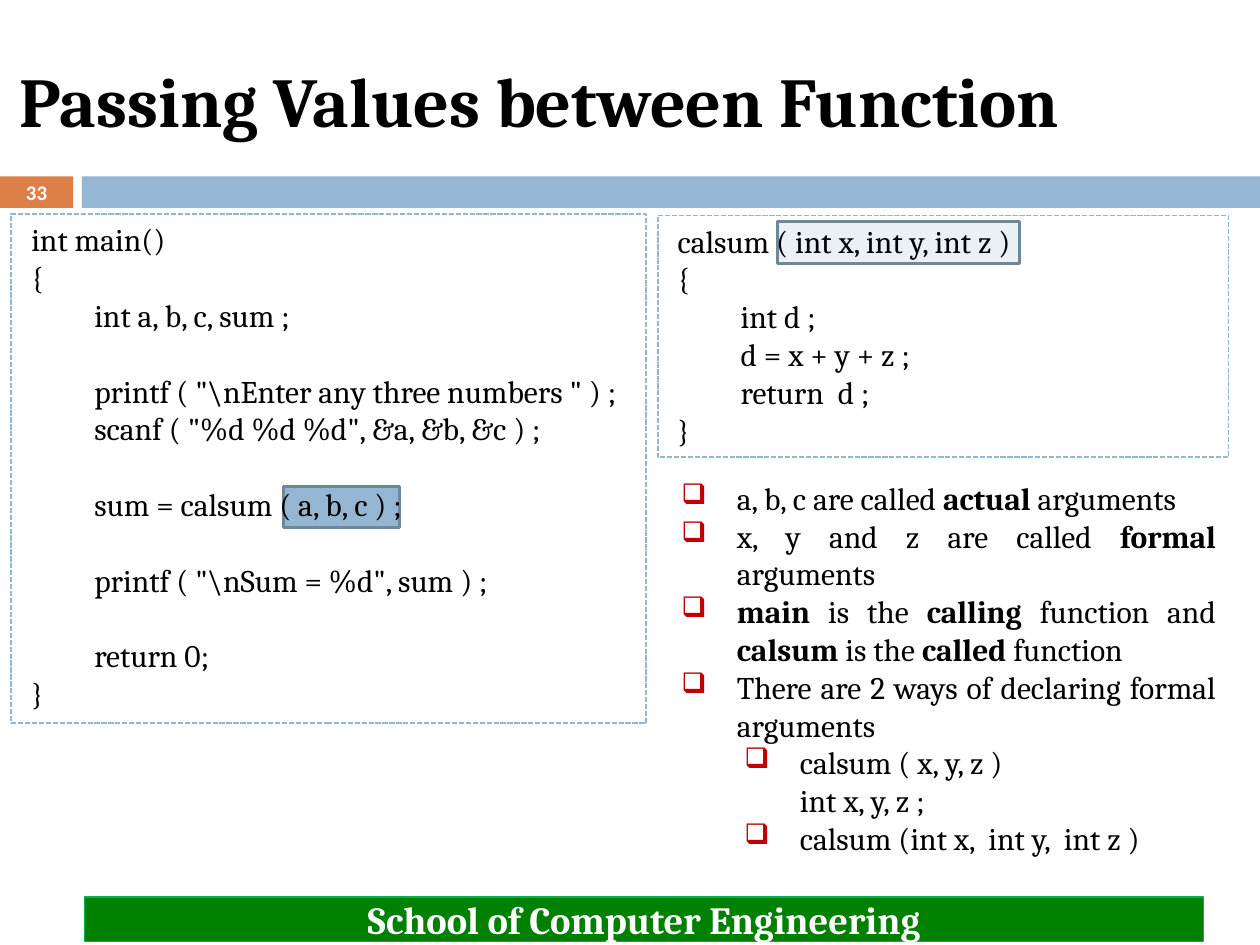
import dataclasses

import lxml.etree
import pptx
import pptx.dml.color
import pptx.enum.dml
import pptx.enum.shapes
import pptx.enum.text
import pptx.oxml.ns
import pptx.util

ALIGN = pptx.enum.text.PP_ALIGN
ANCHOR = pptx.enum.text.MSO_ANCHOR

# The slide is a grid of 100 columns by 75 rows
WIDTH = pptx.util.Inches(10)
HEIGHT = pptx.util.Inches(7.5)
COLUMN = WIDTH / 100
ROW = HEIGHT / 75


@dataclasses.dataclass(frozen=True)
class Theme:
    serif: str = "Cambria"
    sans: str = "Calibri"
    ink: str = "000000"
    white: str = "FFFFFF"
    blue: str = "94B6D2"
    pale_blue: str = "EAF0F6"
    dark_blue: str = "6D879B"
    orange: str = "DD8047"
    green: str = "008000"
    light_green: str = "00B050"
    red: str = "C00000"
    title_size: float = 40
    footer_size: float = 22
    body_size: float = 18
    number_size: float = 11.9
    blank_line: float = 21.6
    indent: float = 0.5
    hanging: float = 0.44


THEME = Theme()

# Each code line: nesting depth, whether a gap comes before it, text
MAIN_CODE = [
    (1, False, "int main()"),
    (1, False, "{"),
    (2, False, "int a, b, c, sum ;"),
    (2, True, 'printf ( "\\nEnter any three numbers " ) ;'),
    (2, False, 'scanf ( "%d %d %d", &a, &b, &c ) ;'),
    (2, True, "sum = calsum ( a, b, c ) ;"),
    (2, True, 'printf ( "\\nSum = %d", sum ) ;'),
    (2, True, "return 0;"),
    (1, False, "}"),
]
CALSUM_CODE = [
    (1, False, "calsum ( int x, int y, int z )"),
    (1, False, "{"),
    (2, False, "int d ;"),
    (2, False, "d = x + y + z ;"),
    (2, False, "return  d ;"),
    (1, False, "}"),
]

# Each note: nesting depth, whether it has a bullet, (text, bold) spans
NOTES = [
    (1, True, [("a, b, c are called ", False), ("actual", True), (" arguments", False)]),
    (1, True, [("x, y and z are called ", False), ("formal", True), (" arguments", False)]),
    (1, True, [("main", True), (" is the ", False), ("calling", True),
               (" function and ", False), ("calsum", True), (" is the ", False),
               ("called", True), (" function", False)]),
    (1, True, [("There are 2 ways of declaring formal arguments", False)]),
    (2, True, [("calsum ( x, y, z )", False)]),
    (2, False, [("int x, y, z ;", False)]),
    (2, True, [("calsum (int x,  int y,  int z )", False)]),
]


def rgb(color):
    return pptx.dml.color.RGBColor.from_string(color)


def place(column, row, columns, rows):
    return (round(column * COLUMN), round(row * ROW),
            round(columns * COLUMN), round(rows * ROW))


def add_rectangle(page, area, fill=None, line=None, weight=1.0, dashed=False):
    box = page.shapes.add_shape(pptx.enum.shapes.MSO_SHAPE.RECTANGLE, *place(*area))
    box.shadow.inherit = False
    if fill:
        box.fill.solid()
        box.fill.fore_color.rgb = rgb(fill)
    else:
        box.fill.background()
    if line:
        box.line.color.rgb = rgb(line)
        box.line.width = pptx.util.Pt(weight)
        if dashed:
            box.line.dash_style = pptx.enum.dml.MSO_LINE.SQUARE_DOT
    else:
        box.line.fill.background()
    return box


def add_text_box(page, area):
    return page.shapes.add_textbox(*place(*area))


def open_frame(box, anchor):
    frame = box.text_frame
    frame.word_wrap = True
    frame.vertical_anchor = anchor
    return frame


def add_span(para, text, size, color=THEME.ink, bold=False, font=THEME.serif):
    span = para.add_run()
    span.text = text
    span.font.name = font
    span.font.size = pptx.util.Pt(size)
    span.font.bold = bold
    span.font.color.rgb = rgb(color)


def write_label(box, text, size, color, font=THEME.serif, align=ALIGN.CENTER):
    para = open_frame(box, ANCHOR.MIDDLE).paragraphs[0]
    para.alignment = align
    add_span(para, text, size, color, True, font)


def next_paragraph(frame, index, depth, first_line):
    para = frame.add_paragraph() if index else frame.paragraphs[0]
    para.alignment = ALIGN.JUSTIFY
    para.level = depth
    properties = para._p.get_or_add_pPr()
    properties.set("marL", str(pptx.util.Inches(depth * THEME.indent)))
    properties.set("indent", str(pptx.util.Inches(first_line)))
    return para


def add_bullet(para):
    properties = para._p.get_or_add_pPr()
    qn = pptx.oxml.ns.qn
    color = lxml.etree.SubElement(properties, qn("a:buClr"))
    lxml.etree.SubElement(color, qn("a:srgbClr"), val=THEME.red)
    lxml.etree.SubElement(properties, qn("a:buSzPct"), val="90000")
    lxml.etree.SubElement(properties, qn("a:buChar"), char="❑")


def add_code(page, area, lines):
    box = add_rectangle(page, area, line=THEME.blue, dashed=True)
    frame = open_frame(box, ANCHOR.TOP)
    for index, (depth, gap, text) in enumerate(lines):
        para = next_paragraph(frame, index, depth, -THEME.hanging)
        if gap:
            para.space_before = pptx.util.Pt(THEME.blank_line)
        add_span(para, text, THEME.body_size)


def add_notes(page, area, notes):
    frame = open_frame(add_text_box(page, area), ANCHOR.TOP)
    for index, (depth, bulleted, spans) in enumerate(notes):
        para = next_paragraph(frame, index, depth, -THEME.hanging if bulleted else 0)
        if bulleted:
            add_bullet(para)
        for text, bold in spans:
            add_span(para, text, THEME.body_size, bold=bold)


def main():
    deck = pptx.Presentation()
    deck.slide_width, deck.slide_height = WIDTH, HEIGHT
    page = deck.slides.add_slide(deck.slide_layouts[6])

    # Header band, title and page number
    add_rectangle(page, (0, 14, 5.8, 2.5), THEME.orange)
    add_rectangle(page, (6.5, 14, 93.5, 2.5), THEME.blue)
    write_label(add_text_box(page, (0.6, 2.5, 89.2, 10.8)),
                "Passing Values between Function",
                THEME.title_size, THEME.ink, align=ALIGN.LEFT)
    write_label(add_text_box(page, (0, 13.9, 5.8, 2.7)), "33",
                THEME.number_size, THEME.white, THEME.sans)

    # Argument highlights behind the code
    add_rectangle(page, (61.7, 17.6, 19.2, 3.3), THEME.pale_blue, THEME.dark_blue, 1.5)
    add_rectangle(page, (22.5, 38.6, 9.2, 3.3), THEME.blue, THEME.dark_blue, 1.5)

    # Calling and called functions
    add_code(page, (0.9, 17, 50.4, 40.4), MAIN_CODE)
    add_code(page, (52.2, 17.1, 45.3, 19.2), CALSUM_CODE)

    # Notes on the arguments
    add_notes(page, (52.5, 37.5, 45, 39.9), NOTES)

    # Footer
    footer = add_rectangle(page, (6.7, 71.2, 88.8, 3.5),
                           THEME.green, THEME.light_green, 0.75)
    write_label(footer, "School of Computer Engineering",
                THEME.footer_size, THEME.white)

    deck.save("out.pptx")


if __name__ == "__main__":
    main()
